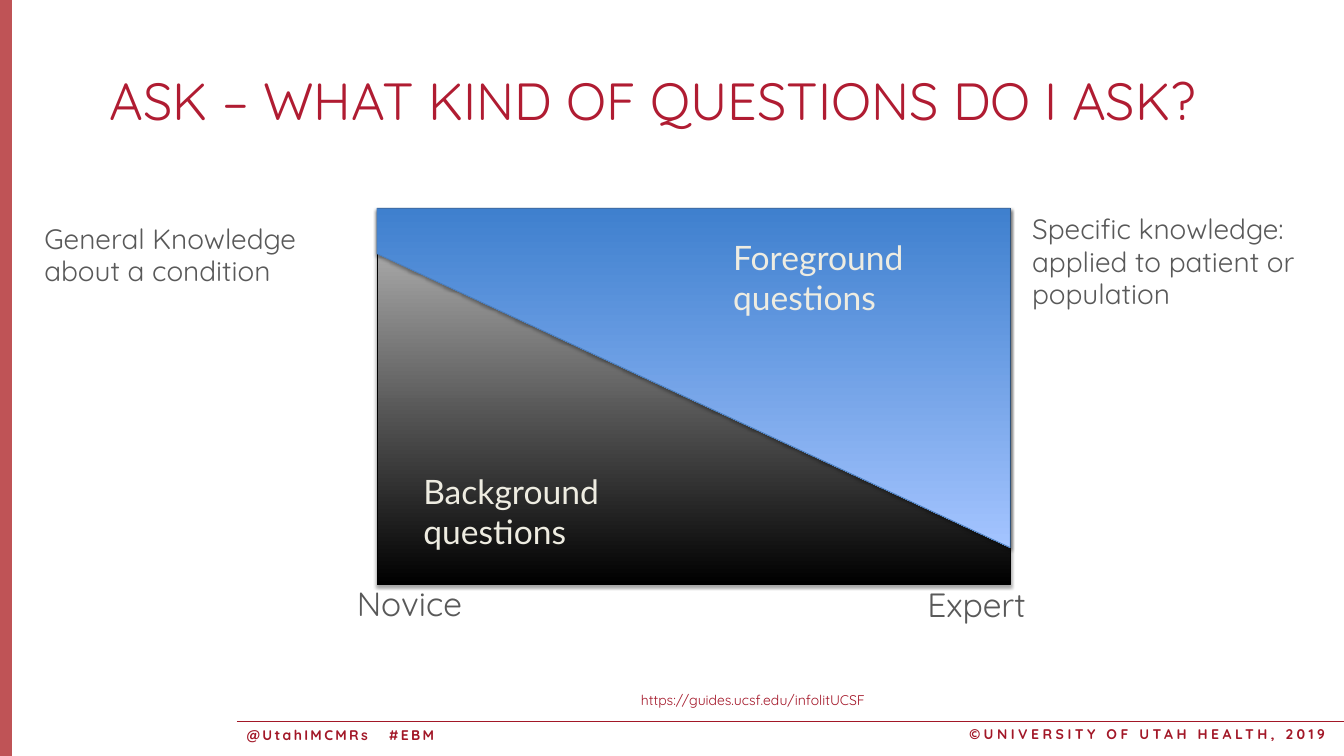
from lxml import etree
from pptx import Presentation
from pptx import util as u
from pptx.dml.color import RGBColor
from pptx.enum import shapes, text
from pptx.oxml import ns, parse_xml

SANS = "Quicksand"
RED = "A21727"
GREY = "595959"
CREAM = "EEECE1"


def rgb(value):
    return RGBColor.from_string(value)


def add_text(page, content, left, top, width, height, size=12, font=SANS,
             color=RED, bold=False, tracking=0, spacing=None):
    box = page.shapes.add_textbox(u.Cm(left), u.Cm(top), u.Cm(width), u.Cm(height))
    frame = box.text_frame
    frame.word_wrap = True
    frame.vertical_anchor = text.MSO_ANCHOR.TOP
    para = frame.paragraphs[0]
    if spacing:
        para.line_spacing = spacing
    span = para.add_run()
    span.text = content
    span.font.size = u.Pt(size)
    span.font.name = font
    span.font.bold = bold
    span.font.color.rgb = rgb(color)
    if tracking:
        span.font._element.set("spc", str(tracking * 100))


def style_area(shape, start, end, angle, outline):
    shape.fill.gradient()
    shape.fill.gradient_angle = angle
    for stop, color in zip(shape.fill.gradient_stops, (start, end)):
        stop.color.rgb = rgb(color)
    shape.line.color.rgb = rgb(outline)
    shape.line.width = u.Pt(0.75)
    shape._element.spPr.append(parse_xml(
        f'<a:effectLst {ns.nsdecls("a")}>'
        f'<a:outerShdw blurRad="{u.Pt(3.1)}" dist="{u.Pt(1.8)}" dir="5400000" rotWithShape="0">'
        '<a:srgbClr val="000000"><a:alpha val="35000"/></a:srgbClr>'
        '</a:outerShdw></a:effectLst>'))


def add_side_bar(page, left, top, width, height):
    bar = page.shapes.add_shape(shapes.MSO_SHAPE.RECTANGLE, u.Cm(left), u.Cm(top),
                                u.Cm(width), u.Cm(height))
    bar.shadow.inherit = False
    bar.fill.solid()
    bar.fill.fore_color.rgb = rgb("AF282C")
    bar.line.fill.background()
    color = bar._element.spPr.find(".//" + ns.qn("a:srgbClr"))
    etree.SubElement(color, ns.qn("a:alpha")).set("val", "80000")


def add_footer(page, left, top, width):
    rule = page.shapes.add_connector(shapes.MSO_CONNECTOR.STRAIGHT, u.Cm(left), u.Cm(top),
                                     u.Cm(left + width), u.Cm(top))
    rule.line.color.rgb = rgb(RED)
    rule.line.width = u.Pt(1)
    etree.SubElement(rule._element.spPr, ns.qn("a:effectLst"))
    add_text(page, "©UNIVERSITY OF UTAH HEALTH, 2019", left + 21.9, top, 11.58, 0.76,
             bold=True, tracking=3)
    for tag, offset, extent in (("@UtahIMCMRs", 0.05, 4.32), ("#EBM", 4.35, 3.3)):
        add_text(page, tag, left + offset, top + 0.02, extent, 0.84, bold=True, tracking=2)
    add_text(page, "https://guides.ucsf.edu/infolitUCSF", left + 11.97, top - 1.02,
             21.5, 1.02, color="A31527")


def add_question_chart(page, left, top, width, height):
    background = page.shapes.add_shape(shapes.MSO_SHAPE.RECTANGLE, u.Cm(left), u.Cm(top),
                                       u.Cm(width), u.Cm(height))
    style_area(background, "000000", "BDBDBD", 90, "000000")

    right = left + width
    outline = page.shapes.build_freeform(u.Cm(left), u.Cm(top))
    corners = ((right, top), (right, top + 10.26), (left, top + 1.37))
    outline.add_line_segments([(u.Cm(x), u.Cm(y)) for x, y in corners], close=True)
    style_area(outline.convert_to_shape(), "3F80CE", "A4C4FF", 270, "4B7EBC")

    for label, x, y in (("Foreground questions", 10.52, 0.74),
                        ("Background questions", 1.15, 7.82)):
        add_text(page, label, left + x, top + y, 8.46, 2.72, size=28.8, font="Lato", color=CREAM)
    for label, x, y in (("Novice", -0.86, 11.2), ("Expert", 16.39, 11.23)):
        add_text(page, label, left + x, top + y, 4.5, 1.5, size=28.8, color=GREY)


def add_knowledge_note(page, content, left, top, width, height):
    add_text(page, content, left, top, width, height, size=24, color=GREY, spacing=0.96)


def main():
    deck = Presentation()
    deck.slide_width, deck.slide_height = u.Cm(40.64), u.Cm(22.86)
    page = deck.slides.add_slide(deck.slide_layouts[6])
    add_side_bar(page, 0, 0, 0.36, 22.86)
    add_footer(page, 7.16, 21.82, 33.48)
    add_text(page, "ASK – WHAT KIND OF QUESTIONS DO I ASK?", 3.07, 1.93, 35.53, 1.83,
             size=44.8, color="B01C32")
    add_question_chart(page, 11.4, 6.3, 19.15, 11.38)
    add_knowledge_note(page, "General Knowledge about a condition", 1.09, 6.63, 10.11, 10.29)
    add_knowledge_note(page, "Specific knowledge: applied to patient or population",
                       30.96, 6.35, 9.6, 10.29)
    deck.save("out.pptx")


if __name__ == "__main__":
    main()
